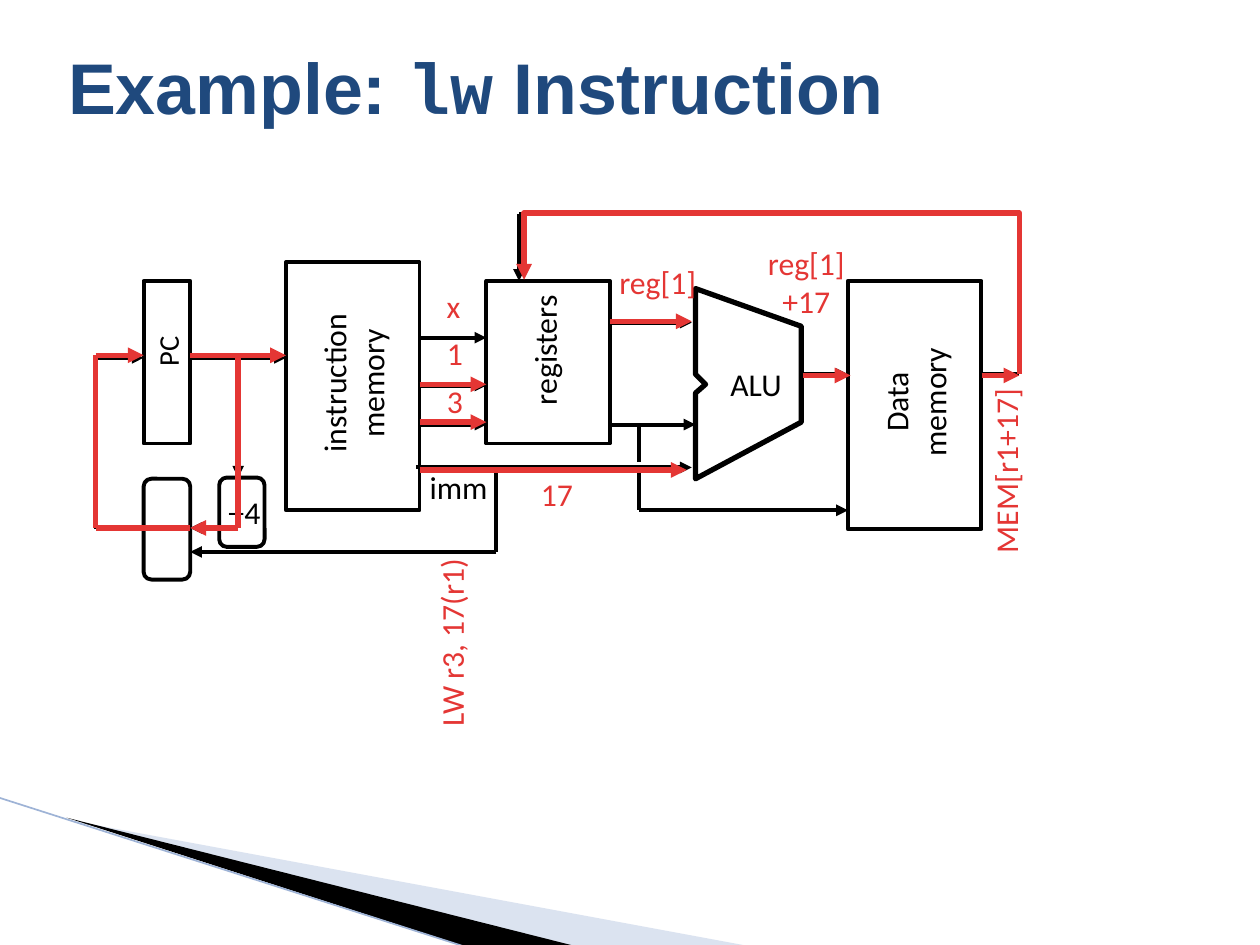
import pptx
import pptx.util
import pptx.dml.color
import pptx.enum.shapes
import pptx.enum.text
import pptx.oxml.ns
from lxml import etree

RGB = pptx.dml.color.RGBColor
BLACK, WHITE = RGB(0, 0, 0), RGB(0xFF, 0xFF, 0xFF)
RED, NAVY = RGB(0xE4, 0x36, 0x34), RGB(0x1F, 0x49, 0x7D)
PALE, EDGE = RGB(0xA7, 0xB9, 0xDB), RGB(0x9E, 0xB3, 0xD6)
SHAPE = pptx.enum.shapes.MSO_SHAPE
ALIGN, ANCHOR = pptx.enum.text.PP_ALIGN, pptx.enum.text.MSO_ANCHOR
qn, Inches, Pt = pptx.oxml.ns.qn, pptx.util.Inches, pptx.util.Pt

# Shared columns and rows of the datapath, in inches
PC_L, PC_R = 1.14, 1.51
IM_L, IM_R = 2.27, 3.33
REG_L, REG_R = 3.86, 4.84
ALU_L, ALU_R = 5.52, 6.36
DM_L, DM_R = 6.73, 7.79
LOOP, PLUS, IMM_X, STORE, BACK = 0.76, 1.89, 3.94, 5.07, 8.09
TOP, BOTTOM = 2.23, 3.52
PC_Y, ALU_Y, IMM_Y, NEXT_Y = 2.84, 2.97, 3.71, 4.19

TITLE = [("Example: ", "Arial"), ("lw", "Courier New"), (" Instruction", "Arial")]

# Blocks: shape, left, top, right, bottom
BLOCKS = [
    (SHAPE.RECTANGLE, PC_L, TOP, PC_R, BOTTOM),
    (SHAPE.RECTANGLE, IM_L, 2.08, IM_R, 4.05),
    (SHAPE.RECTANGLE, REG_L, TOP, REG_R, BOTTOM),
    (SHAPE.RECTANGLE, DM_L, TOP, DM_R, 4.2),
    (SHAPE.ROUNDED_RECTANGLE, PC_L, 3.8, PC_R, 4.6),
    (SHAPE.ROUNDED_RECTANGLE, 1.74, 3.79, 2.1, 4.34),
]
ALU = [(ALU_L, 2.29), (ALU_R, 2.59), (ALU_R, 3.35), (ALU_L, 3.8),
       (ALU_L, 3.12), (5.6, 3.05), (ALU_L, 2.97)]

# Labels: text, centre x, centre y, width, height, rotation, colour, size
LABELS = [
    ("ALU", 5.98, 3.05, 0.6, 0.41, 0, BLACK, 18.1),
    ("instruction\nmemory", 2.8, 3.06, 1.3, 0.71, 270, BLACK, 18.1),
    ("+4", 1.92, 4.06, 0.44, 0.38, 0, BLACK, 18.1),
    ("registers", 4.32, 2.8, 1.07, 0.41, 270, BLACK, 18.1),
    ("Data\nmemory", 7.26, 3.21, 1.06, 0.71, 270, BLACK, 18.1),
    ("imm", 3.62, 3.86, 0.66, 0.41, 0, BLACK, 18.1),
    ("PC", 1.33, 2.81, 0.43, 0.38, 270, BLACK, 16.3),
    ("x", 3.58, 2.43, 0.3, 0.41, 0, RED, 18.1),
    ("1", 3.59, 2.8, 0.32, 0.41, 0, RED, 18.1),
    ("3", 3.59, 3.18, 0.32, 0.41, 0, RED, 18.1),
    ("LW r3, 17(r1)", 3.58, 5.12, 1.54, 0.41, 270, RED, 18.1),
    ("reg[1]\v+17", 6.38, 2.24, 0.8, 0.71, 0, RED, 18.1),
    ("17", 4.4, 3.92, 0.45, 0.41, 0, RED, 18.1),
    ("reg[1]", 5.2, 2.24, 0.81, 0.41, 0, RED, 18.1),
    ("MEM[r1+17]", 7.98, 3.76, 1.51, 0.41, 270, RED, 18.1),
]

# Wires: corner points, arrowhead at the end
WIRES = [
    ([(ALU_R, ALU_Y), (DM_L, ALU_Y)], True),
    ([(PC_R, PC_Y), (IM_L, PC_Y)], True),
    ([(IM_R, 2.68), (REG_L, 2.68)], True),
    ([(IM_R, 3.06), (REG_L, 3.06)], True),
    ([(IM_R, 3.37), (REG_L, 3.37)], True),
    ([(REG_R, 3.37), (ALU_L, 3.37)], True),
    ([(3.3, IMM_Y), (5.49, IMM_Y)], True),
    ([(REG_R, 2.56), (5.49, 2.56)], True),
    ([(STORE, 3.37), (STORE, 3.67)], False),
    ([(STORE, 3.74), (STORE, 4.05), (DM_L, 4.05)], True),
    ([(DM_R, ALU_Y), (BACK, ALU_Y), (BACK, 1.7), (4.12, 1.7), (4.12, TOP)], True),
    ([(PLUS, PC_Y), (PLUS, 3.79)], True),
    ([(1.74, NEXT_Y), (PC_R, NEXT_Y)], True),
    ([(IMM_X, IMM_Y), (IMM_X, 4.38), (PC_R, 4.38)], True),
    ([(PC_L, 4.2), (LOOP, 4.2), (LOOP, PC_Y), (PC_L, PC_Y)], True),
]
ACTIVE = [
    ([(PC_R, 2.82), (IM_L, 2.82)], True),
    ([(6.37, 2.98), (6.75, 2.98)], True),
    ([(IM_R, 3.05), (REG_L, 3.05)], True),
    ([(IM_R, 3.35), (REG_L, 3.35)], True),
    ([(IM_R, 3.73), (5.45, 3.73)], True),
    ([(REG_R, 2.55), (5.49, 2.55)], True),
    ([(DM_R, 2.98), (BACK, 2.98)], True),
    ([(PLUS, PC_Y), (PLUS, NEXT_Y), (PC_R, NEXT_Y)], True),
    ([(PC_R, NEXT_Y), (LOOP, NEXT_Y), (LOOP, 2.82), (PC_L, 2.82)], True),
]
WRITE_BACK = [(BACK, ALU_Y), (BACK, 1.69), (4.16, 1.69), (4.16, 2.22)]

prs = pptx.Presentation()
prs.slide_width, prs.slide_height = Inches(10), Inches(7.5)
s = prs.slides.add_slide(prs.slide_layouts[6])


def paint(sp, fill=None, line=None, width=2.25):
    sp.shadow.inherit = False
    if fill is None:
        sp.fill.background()
    else:
        sp.fill.solid()
        sp.fill.fore_color.rgb = fill
    if line is None:
        sp.line.fill.background()
    else:
        sp.line.color.rgb = line
        sp.line.width = Pt(width)


def add_head(sp):
    etree.SubElement(sp.line._get_or_add_ln(), qn("a:tailEnd"), type="triangle")


def outline(points, close=True):
    (x, y), *rest = points
    fb = s.shapes.build_freeform(round(x * 1000), round(y * 1000), Inches(1) / 1000)
    fb.add_line_segments([(round(a * 1000), round(b * 1000)) for a, b in rest], close)
    return fb.convert_to_shape()


def add_wire(points, head, color, width):
    for start, end in zip(points, points[1:]):
        c = s.shapes.add_connector(pptx.enum.shapes.MSO_CONNECTOR.STRAIGHT,
                                   *map(Inches, start + end))
        c.line.color.rgb = color
        c.line.width = Pt(width)
        etree.SubElement(c._element.spPr, qn("a:effectLst"))
    if head:
        add_head(c)


def add_text(x, y, w, h, margin, anchor):
    sp = s.shapes.add_textbox(*map(Inches, (x, y, w, h)))
    tf = sp.text_frame
    tf.margin_left = tf.margin_right = tf.margin_top = tf.margin_bottom = Inches(margin)
    tf.vertical_anchor = anchor
    return sp, tf


# Corner decoration
band = outline([(0.55, 6.51), (5.95, 7.51), (4.56, 7.51)])
paint(band, PALE)
etree.SubElement(band.fill._xPr.find(".//" + qn("a:srgbClr")), qn("a:alpha"), val="40000")
paint(outline([(0.53, 6.49), (4.57, 7.51), (3.72, 7.52)]), BLACK)
add_wire([(-0.01, 6.33), (3.71, 7.52)], False, EDGE, 0.95)

# Title
sp, tf = add_text(0.5, 0.3, 9, 1.25, 0.04, ANCHOR.TOP)
tf.word_wrap = True
p = tf.paragraphs[0]
p.font.size, p.font.bold, p.font.color.rgb = Pt(41), True, NAVY
for text, font in TITLE:
    r = p.add_run()
    r.text, r.font.name = text, font

# Datapath blocks
paint(outline(ALU), line=BLACK, width=3)
for kind, left, top, right, bottom in BLOCKS:
    sp = s.shapes.add_shape(kind, *map(Inches, (left, top, right - left, bottom - top)))
    paint(sp, WHITE, BLACK)

# Wires, labels and the active path of lw
for points, head in WIRES:
    add_wire(points, head, BLACK, 2.25)
for text, x, y, w, h, turn, color, size in LABELS:
    sp, tf = add_text(x - w / 2, y - h / 2, w, h, 0.05, ANCHOR.MIDDLE)
    sp.rotation = turn
    tf.word_wrap = False
    tf.text = text
    for p in tf.paragraphs:
        p.alignment = ALIGN.CENTER
        p._p.get_or_add_pPr().set("marL", str(Inches(0.04)))
        p.font.name, p.font.size, p.font.color.rgb = "Calibri", Pt(size), color
for points, head in ACTIVE:
    add_wire(points, head, RED, 3)
sp = outline(WRITE_BACK, close=False)
paint(sp, line=RED, width=3)
add_head(sp)

prs.save("out.pptx")
